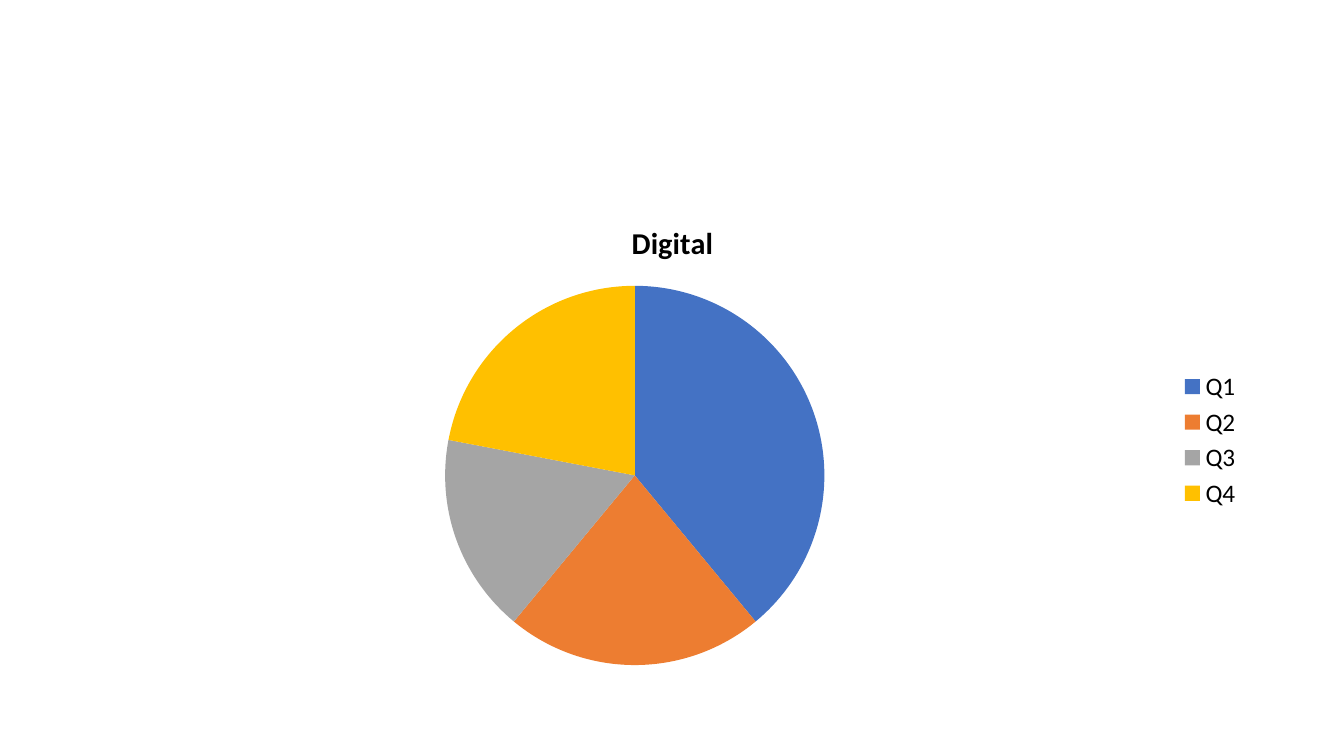
import pptx
import pptx.chart.data
import pptx.dml.color
import pptx.enum.chart
import pptx.util

PX_PER_INCH = 100.8


def px(n):
    return pptx.util.Inches(n / PX_PER_INCH)


def color(hex_string):
    return pptx.dml.color.RGBColor.from_string(hex_string)


class Deck:
    """Holds the style and the current slide."""

    font = "Calibri"
    text = "000000"
    body_pt = 18
    title_pt = 21.6
    palette = ["4472C4", "ED7D31", "A5A5A5", "FFC000"]

    def __init__(self, width, height):
        self.prs = pptx.Presentation()
        self.prs.slide_width = px(width)
        self.prs.slide_height = px(height)

    def add_slide(self):
        self.s = self.prs.slides.add_slide(self.prs.slide_layouts[6])

    def style(self, font, size, bold=False):
        font.name = self.font
        font.size = pptx.util.Pt(size)
        font.bold = bold
        font.color.rgb = color(self.text)

    def pie(self, x, y, w, h, title, shares):
        data = pptx.chart.data.CategoryChartData()
        data.categories = list(shares)
        data.add_series(title, list(shares.values()))
        chart = self.s.shapes.add_chart(
            pptx.enum.chart.XL_CHART_TYPE.PIE, px(x), px(y), px(w), px(h), data
        ).chart
        self.style(chart.font, self.body_pt)

        # Title
        chart.has_title = True
        tf = chart.chart_title.text_frame
        tf.text = title
        self.style(tf.paragraphs[0].runs[0].font, self.title_pt, bold=True)
        chart.chart_title.include_in_layout = False

        # Legend
        chart.has_legend = True
        chart.legend.position = pptx.enum.chart.XL_LEGEND_POSITION.RIGHT
        chart.legend.include_in_layout = False

        # Slices
        plot = chart.plots[0]
        plot.vary_by_categories = True
        for i, hex_string in enumerate(self.palette):
            fill = plot.series[0].points[i].format.fill
            fill.solid()
            fill.fore_color.rgb = color(hex_string)


def main():
    deck = Deck(1344, 756)
    deck.add_slide()

    # Quarterly shares
    shares = {"Q1": 39, "Q2": 22, "Q3": 17, "Q4": 22}
    deck.pie(93, 201, 1159, 478, "Digital", shares)

    deck.prs.save("out.pptx")


if __name__ == "__main__":
    main()
